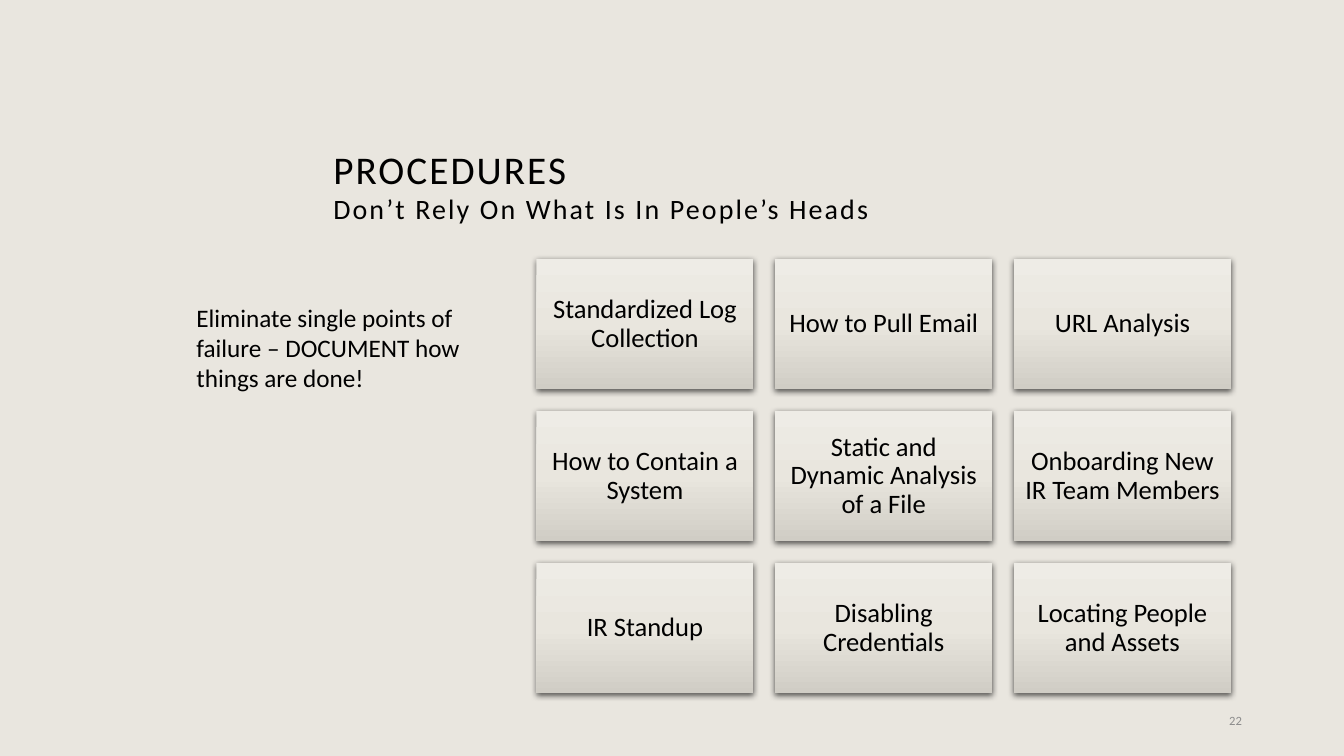
from lxml.etree import SubElement
from pptx import Presentation
from pptx.dml.color import RGBColor
from pptx.enum.shapes import MSO_SHAPE
from pptx.enum.text import MSO_ANCHOR, PP_ALIGN
from pptx.oxml import parse_xml
from pptx.oxml.ns import nsdecls, qn
from pptx.util import Cm, Pt

BACKGROUND = RGBColor(0xE9, 0xE6, 0xDF)
BLACK = RGBColor(0x00, 0x00, 0x00)
GRAY = RGBColor(0x8C, 0x8C, 0x8C)
CARD_TOP = RGBColor(0xEE, 0xEC, 0xE6)
CARD_MIDDLE = RGBColor(0xE9, 0xE6, 0xDE)
CARD_BOTTOM = RGBColor(0xD0, 0xCD, 0xC5)
FONT = "Calibri"

PROCEDURES = [
    ["Standardized Log Collection", "How to Pull Email", "URL Analysis"],
    ["How to Contain a System", "Static and Dynamic Analysis of a File",
     "Onboarding New IR Team Members"],
    ["IR Standup", "Disabling Credentials", "Locating People and Assets"],
]


def write_text(shape, text, size, color=BLACK, align=PP_ALIGN.LEFT,
               anchor=MSO_ANCHOR.MIDDLE, line_spacing=0.9, tracking=0):
    """Fill a shape with one paragraph; tracking is in points."""
    frame = shape.text_frame
    frame.word_wrap = True
    frame.vertical_anchor = anchor
    para = frame.paragraphs[0]
    para.alignment = align
    para.line_spacing = line_spacing
    span = para.add_run()
    span.text = text
    para.font.name = FONT
    para.font.size = Pt(size)
    para.font.color.rgb = color
    if tracking:
        span.font._element.set("spc", str(round(tracking * 100)))


def add_heading(page, left, top, width):
    title = page.shapes.add_textbox(left, top, width, Cm(3.68))
    write_text(title, "PROCEDURES", 28, tracking=1.5)
    subtitle = page.shapes.add_textbox(left, top + Cm(1.04), Cm(15.77), Cm(2.29))
    write_text(subtitle, "Don’t Rely On What Is In People’s Heads", 20,
               anchor=MSO_ANCHOR.BOTTOM, tracking=1.5)


def add_message(page, left, top, width, height):
    box = page.shapes.add_textbox(left, top, width, height)
    write_text(box, "Eliminate single points of failure – DOCUMENT how things are done!",
               18, anchor=MSO_ANCHOR.TOP, line_spacing=1.0)


def shade_card(card):
    """Give a card its three-stop vertical gradient and soft shadow."""
    card.line.fill.background()
    stops = "".join(
        f'<a:gs pos="{position}"><a:srgbClr val="{color}"/></a:gs>'
        for position, color in [(0, CARD_TOP), (50000, CARD_MIDDLE), (100000, CARD_BOTTOM)])
    gradient = parse_xml(
        f'<a:gradFill {nsdecls("a")} rotWithShape="1"><a:gsLst>{stops}</a:gsLst>'
        '<a:lin ang="5400000" scaled="0"/></a:gradFill>')
    properties = card._element.spPr
    properties.find(qn("a:prstGeom")).addnext(gradient)
    card.shadow.inherit = False
    shadow = SubElement(properties.find(qn("a:effectLst")), qn("a:outerShdw"),
                        blurRad=str(Pt(4.5)), dist=str(Pt(1.5)), dir="5400000",
                        algn="ctr", rotWithShape="0")
    shade = SubElement(shadow, qn("a:srgbClr"), val=str(BLACK))
    SubElement(shade, qn("a:alpha"), val="63000")


def add_card(page, text, left, top, width, height):
    card = page.shapes.add_shape(MSO_SHAPE.RECTANGLE, left, top, width, height)
    shade_card(card)
    frame = card.text_frame
    frame.margin_left = frame.margin_right = Cm(0.2)
    frame.margin_top = frame.margin_bottom = Cm(0.2)
    write_text(card, text, 19, align=PP_ALIGN.CENTER)


def add_card_grid(page, rows, left, top, width, height, gap):
    card_width = (width - gap * (len(rows[0]) - 1)) // len(rows[0])
    card_height = (height - gap * (len(rows) - 1)) // len(rows)
    for row, labels in enumerate(rows):
        for column, label in enumerate(labels):
            add_card(page, label, left + column * (card_width + gap),
                     top + row * (card_height + gap), card_width, card_height)


def add_page_number(page, left, top, width, height):
    box = page.shapes.add_textbox(left, top, width, height)
    write_text(box, "22", 9, GRAY, PP_ALIGN.RIGHT, line_spacing=1.0)


def main():
    deck = Presentation()
    deck.slide_width, deck.slide_height = Cm(33.87), Cm(19.05)
    page = deck.slides.add_slide(deck.slide_layouts[6])
    page.background.fill.solid()
    page.background.fill.fore_color.rgb = BACKGROUND
    add_heading(page, Cm(8.15), Cm(2.49), Cm(23.39))
    add_card_grid(page, PROCEDURES, Cm(13.52), Cm(6.53), Cm(17.5), Cm(10.94), Cm(0.55))
    add_page_number(page, Cm(23.93), Cm(17.65), Cm(7.62), Cm(1.02))
    add_message(page, Cm(4.7), Cm(7.49), Cm(7.62), Cm(4.11))
    deck.save("out.pptx")


if __name__ == "__main__":
    main()
